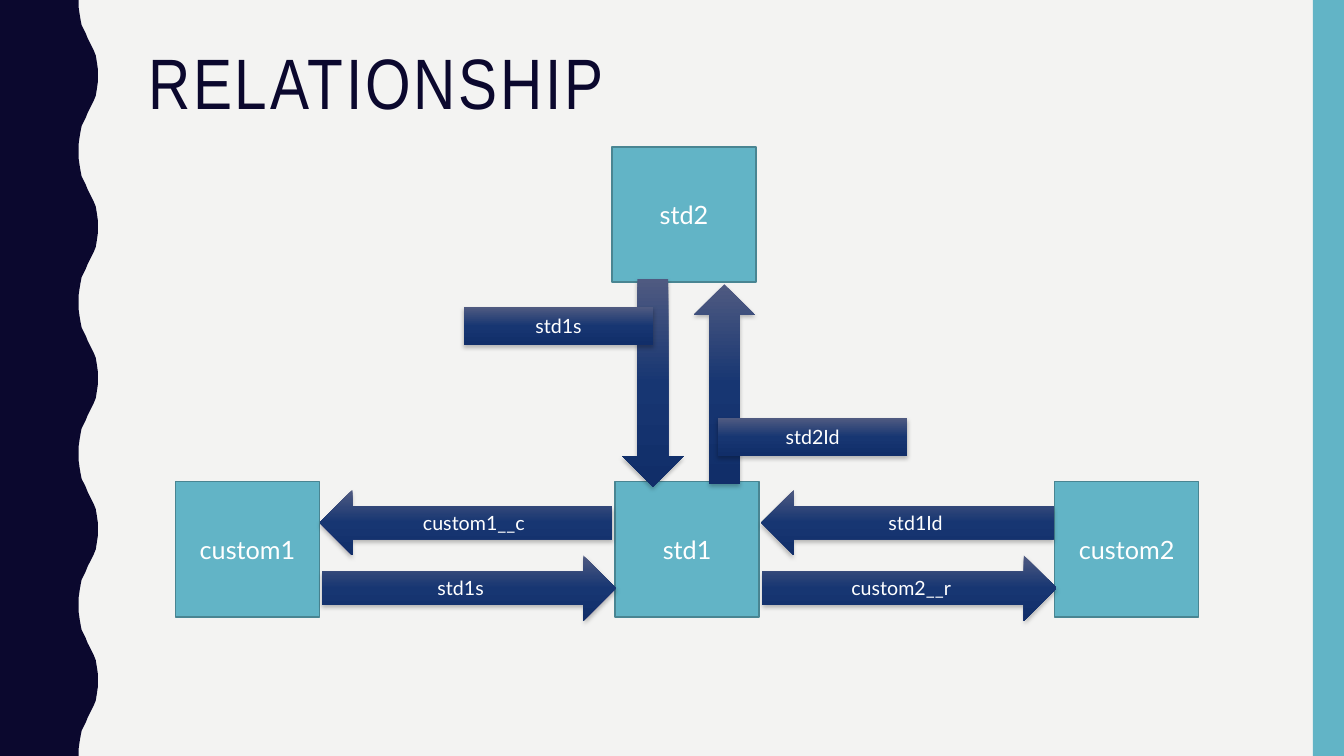
from copy import deepcopy
from dataclasses import dataclass

from lxml.etree import SubElement
from pptx import Presentation
from pptx.dml.color import RGBColor
from pptx.enum.shapes import MSO_SHAPE as Preset
from pptx.enum.text import MSO_ANCHOR as Anchor, MSO_AUTO_SIZE as AutoSize, PP_ALIGN as Align
from pptx.oxml.ns import qn
from pptx.util import Inches, Pt


@dataclass(frozen=True)
class Theme:
    """Colours, fonts and type sizes of the slide."""
    paper: str = "F3F3F2"
    navy: str = "0B082E"
    teal: str = "62B4C6"
    edge: str = "498592"
    white: str = "FFFFFF"
    shadow: str = "000000"
    gradient: tuple = ((0, "4F5A81"), (0.5, "173672"), (1, "112E69"))
    title_font: str = "Arial Narrow"
    body_font: str = "Lato"
    title_size: int = 51
    entity_size: int = 18
    label_size: int = 14


THEME = Theme()
SLIDE_WIDTH, SLIDE_HEIGHT = 13.33, 7.5
WAVE_PERIOD = 1.5
HALF_WAVE = [
    (0.78, 0), (0.78, 0.07), (0.79, 0.14), (0.8, 0.2), (0.81, 0.25),
    (0.83, 0.29), (0.85, 0.33), (0.87, 0.38), (0.89, 0.42), (0.91, 0.46),
    (0.93, 0.5), (0.95, 0.55), (0.96, 0.61), (0.97, 0.68), (0.97, 0.75),
]
ENTITY_SIZE = (1.43, 1.34)
ENTITIES = [("custom1", 1.74, 4.78), ("std1", 6.1, 4.78),
            ("custom2", 10.46, 4.78), ("std2", 6.07, 1.46)]
RELATIONS = [
    (Preset.LEFT_ARROW, (3.17, 4.86, 2.9, 0.65), "custom1__c"),
    (Preset.RIGHT_ARROW, (3.19, 5.51, 2.92, 0.65), "std1s"),
    (Preset.LEFT_ARROW, (7.55, 4.86, 2.9, 0.65), "std1Id"),
    (Preset.RIGHT_ARROW, (7.56, 5.51, 2.92, 0.65), "custom2__r"),
    (Preset.UP_ARROW, (6.88, 2.82, 0.61, 1.98), ""),
    (Preset.DOWN_ARROW, (6.17, 2.77, 0.61, 2.06), ""),
    (Preset.RECTANGLE, (4.6, 3.05, 1.88, 0.37), "std1s"),
    (Preset.RECTANGLE, (7.12, 4.15, 1.88, 0.37), "std2Id"),
]


def rgb(value):
    """Turn a hex string into a colour."""
    return RGBColor.from_string(value)


def apply(target, values):
    """Set each attribute of the target from a dict."""
    for name, value in values.items():
        setattr(target, name, value)


def paint(shape, color):
    """Give a shape a plain fill without line or shadow."""
    shape.fill.solid()
    shape.fill.fore_color.rgb = rgb(color)
    shape.line.fill.background()
    shape.shadow.inherit = False


def write(shape, text, font, size, color, align, anchor):
    """Write one formatted paragraph and return its run."""
    frame = shape.text_frame
    apply(frame, {"word_wrap": True, "auto_size": AutoSize.NONE, "vertical_anchor": anchor})
    para = frame.paragraphs[0]
    para.alignment = align
    span = para.add_run()
    apply(span, {"text": text})
    apply(span.font, {"name": font, "size": Pt(size)})
    span.font.color.rgb = rgb(color)
    return span


def add_preset(page, preset, place, color):
    """Add a plain preset shape."""
    shape = page.shapes.add_shape(preset, *map(Inches, place))
    paint(shape, color)
    return shape


def add_wave(page):
    """Draw the wavy band along the left edge."""
    rising = [(x, WAVE_PERIOD - y) for x, y in reversed(HALF_WAVE[:-1])]
    wave = HALF_WAVE + rising[:-1]
    count = round(SLIDE_HEIGHT / WAVE_PERIOD)
    points = [(x, y + turn * WAVE_PERIOD) for turn in range(count) for x, y in wave]
    points += [(HALF_WAVE[0][0], SLIDE_HEIGHT), (0, SLIDE_HEIGHT)]
    builder = page.shapes.build_freeform(0, 0)
    builder.add_line_segments([(Inches(x), Inches(y)) for x, y in points], close=True)
    paint(builder.convert_to_shape(), THEME.navy)


def add_title(page, text):
    """Place and format the title."""
    title = page.shapes.title
    apply(title, dict(zip(("left", "top", "width", "height"),
                          map(Inches, (1.37, 0.42, 11.13, 1.63)))))
    span = write(title, text, THEME.title_font, THEME.title_size,
                 THEME.navy, Align.LEFT, Anchor.TOP)
    title.text_frame.paragraphs[0].line_spacing = 0.9
    span.font._element.set("spc", "200")


def add_entity(page, name, left, top):
    """Add a teal box for one object."""
    box = add_preset(page, Preset.RECTANGLE, (left, top, *ENTITY_SIZE), THEME.teal)
    box.line.color.rgb = rgb(THEME.edge)
    box.line.width = Pt(1)
    write(box, name, THEME.body_font, THEME.entity_size,
          THEME.white, Align.CENTER, Anchor.MIDDLE)


def shade(shape):
    """Give a shape the navy gradient and a soft shadow."""
    shape.fill.gradient()
    shape.fill.gradient_angle = 270
    stops = shape.element.spPr.find(".//" + qn("a:gsLst"))
    stops.append(deepcopy(stops[0]))
    for stop, (position, color) in zip(shape.fill.gradient_stops, THEME.gradient):
        stop.position = position
        stop.color.rgb = rgb(color)
    effects = shape.element.spPr.find(qn("a:effectLst"))
    shadow = SubElement(effects, qn("a:outerShdw"), blurRad=str(Pt(3)),
                        dist=str(Pt(2)), dir="5400000", rotWithShape="0")
    tint = SubElement(shadow, qn("a:srgbClr"), val=THEME.shadow)
    SubElement(tint, qn("a:alpha"), val="25000")


def add_relation(page, preset, place, label):
    """Add a shaded arrow or tag with its label."""
    shape = add_preset(page, preset, place, THEME.navy)
    shade(shape)
    if label:
        write(shape, label, THEME.body_font, THEME.label_size,
              THEME.white, Align.CENTER, Anchor.MIDDLE)


def main():
    """Build the slide and save it."""
    deck = Presentation()
    apply(deck, {"slide_width": Inches(SLIDE_WIDTH), "slide_height": Inches(SLIDE_HEIGHT)})
    page = deck.slides.add_slide(deck.slide_layouts.get_by_name("Title Only"))
    page.background.fill.solid()
    page.background.fill.fore_color.rgb = rgb(THEME.paper)
    add_wave(page)
    add_preset(page, Preset.RECTANGLE, (13.02, 0, 0.31, SLIDE_HEIGHT), THEME.teal)
    add_title(page, "RELATIONSHIP")
    for entity in ENTITIES:
        add_entity(page, *entity)
    for relation in RELATIONS:
        add_relation(page, *relation)
    deck.save("out.pptx")


if __name__ == "__main__":
    main()
